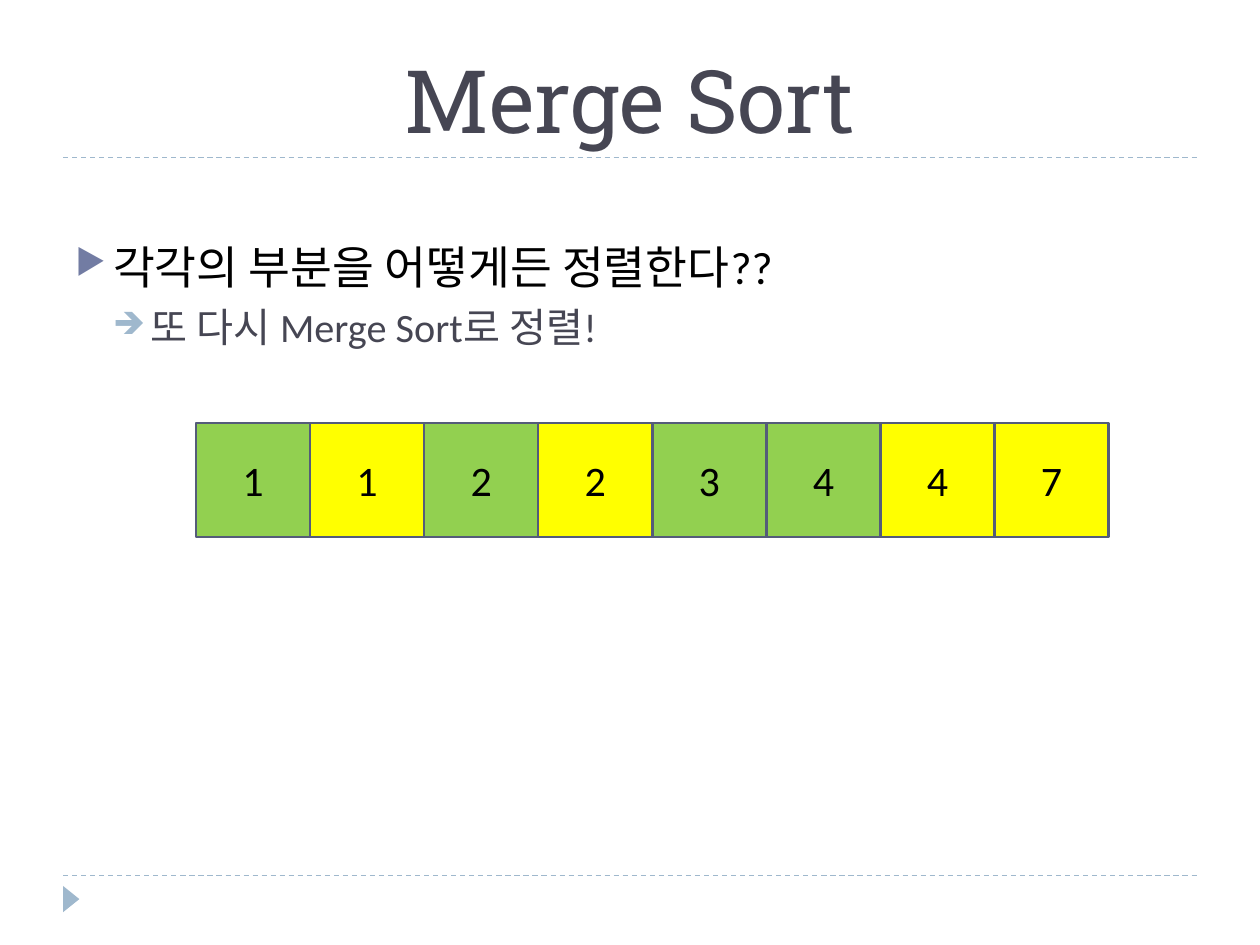
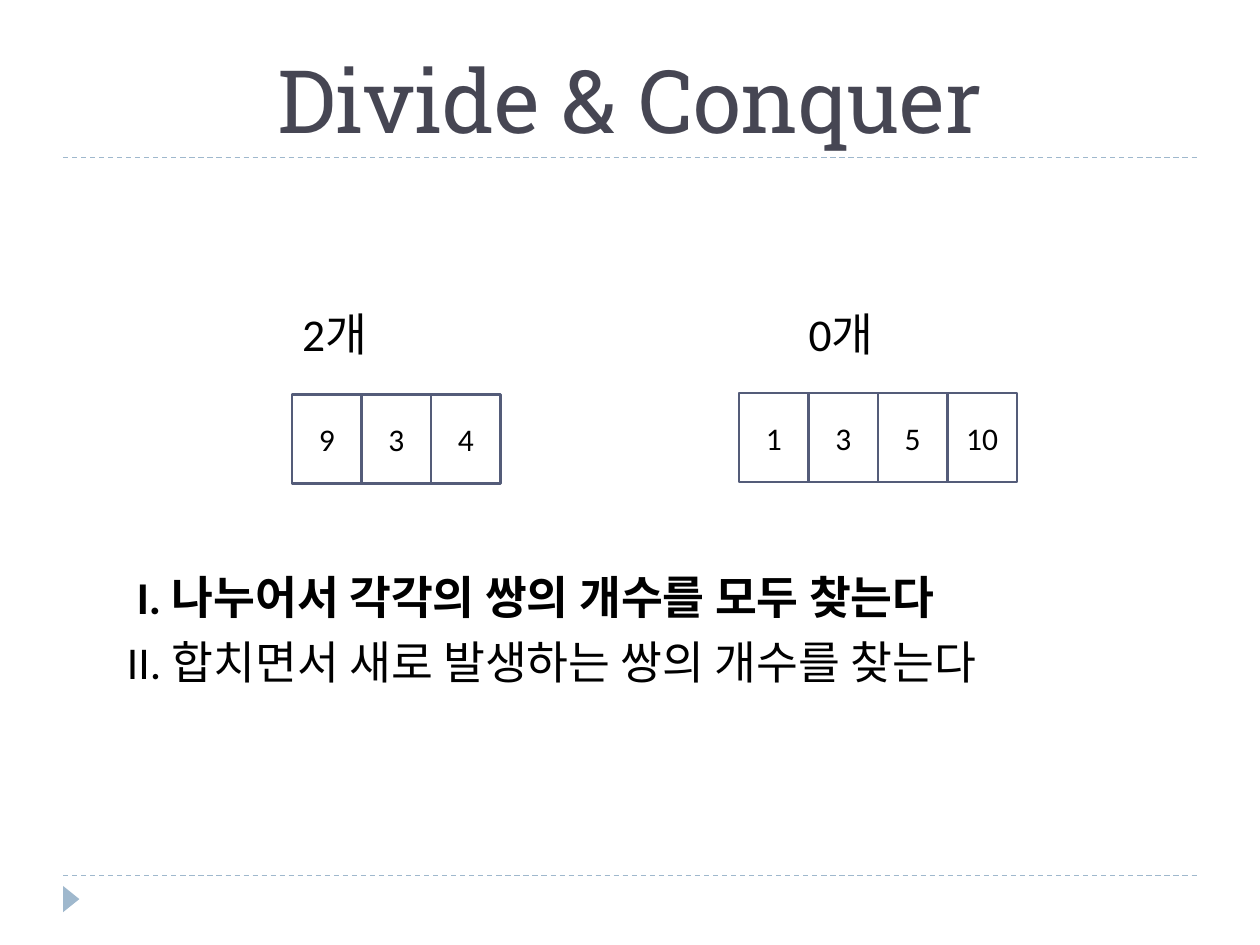
from dataclasses import dataclass
from typing import Optional

from lxml.etree import SubElement
from pptx import Presentation
from pptx.dml.color import RGBColor
from pptx.enum.dml import MSO_LINE
from pptx.enum.shapes import MSO_CONNECTOR, MSO_SHAPE
from pptx.enum.text import MSO_ANCHOR, PP_ALIGN
from pptx.oxml.ns import qn
from pptx.slide import Slide
from pptx.text.text import _Paragraph
from pptx.util import Cm, Pt


@dataclass(frozen=True)
class Theme:
    """Colours, fonts and type sizes of the deck."""
    black: str = "000000"
    slate: str = "464653"
    accent: str = "9FB8CD"
    violet: str = "727CA3"
    outline: str = "545C79"
    green: str = "92D050"
    yellow: str = "FFFF00"
    title_font: str = "Roboto Slab"
    body_font: str = "Calibri"
    title_size: int = 50
    body_size: int = 26
    detail_size: int = 23
    large_cell_size: int = 24
    small_cell_size: int = 18


THEME = Theme()


@dataclass(frozen=True)
class Bullet:
    """A bullet character and its colour."""
    character: str
    color: str


@dataclass(frozen=True)
class TextLine:
    """One paragraph; indents in centimetres, size and space in points."""
    text: str
    size: int = THEME.body_size
    color: str = THEME.black
    bold: bool = False
    margin: float = 0
    hanging: float = 0
    space_before: int = 0
    bullet: Optional[Bullet] = None


@dataclass(frozen=True)
class Cell:
    """One value of an array; no fill leaves the cell transparent."""
    value: int
    fill: Optional[str] = None


@dataclass(frozen=True)
class ArrayRow:
    """A row of touching cells; lengths in centimetres."""
    left: float
    top: float
    cell_width: float
    cell_height: float
    size: int
    cells: tuple[Cell, ...]


def rgb(color: str) -> RGBColor:
    """Turn a hex string into a colour."""
    return RGBColor.from_string(color)


def set_font(paragraph: _Paragraph, name: str, size: int, color: str, bold: bool = False) -> None:
    """Set the font of a whole paragraph."""
    font = paragraph.font
    font.name, font.size, font.bold = name, Pt(size), bold
    font.color.rgb = rgb(color)


def set_indent(paragraph: _Paragraph, line: TextLine) -> None:
    """Apply the indents and the bullet of a line."""
    properties = paragraph._p.get_or_add_pPr()
    properties.set("marL", str(Cm(line.margin)))
    properties.set("indent", str(-Cm(line.hanging)))
    if line.bullet:
        color = SubElement(properties, qn("a:buClr"))
        SubElement(color, qn("a:srgbClr"), val=line.bullet.color)
        SubElement(properties, qn("a:buSzPct"), val="76000")
        SubElement(properties, qn("a:buChar"), char=line.bullet.character)


def add_lines(page: Slide, left: float, top: float, width: float, height: float,
              lines: list[TextLine]) -> None:
    """Add a text box with one paragraph per line."""
    frame = page.shapes.add_textbox(Cm(left), Cm(top), Cm(width), Cm(height)).text_frame
    frame.word_wrap = True
    for index, line in enumerate(lines):
        paragraph = frame.add_paragraph() if index else frame.paragraphs[0]
        paragraph.text = line.text
        set_indent(paragraph, line)
        paragraph.space_before = Pt(line.space_before)
        set_font(paragraph, THEME.body_font, line.size, line.color, line.bold)


def add_rule(page: Slide, top: float) -> None:
    """Add a dashed rule across the page."""
    rule = page.shapes.add_connector(MSO_CONNECTOR.STRAIGHT, Cm(1.27), Cm(top), Cm(24.13), Cm(top))
    rule.line.color.rgb = rgb(THEME.accent)
    rule.line.width = Pt(0.75)
    rule.line.dash_style = MSO_LINE.DASH
    SubElement(rule._element.spPr, qn("a:effectLst"))


def add_page(deck: Presentation, title: str) -> Slide:
    """Add a page with its title, two rules and the corner marker."""
    page = deck.slides.add_slide(deck.slide_layouts[6])
    for top in (17.65, 3.18):
        add_rule(page, top)
    marker = page.shapes.add_shape(MSO_SHAPE.ISOSCELES_TRIANGLE, Cm(1.17), Cm(17.96), Cm(0.53), Cm(0.33))
    marker.rotation = 90
    marker.shadow.inherit = False
    marker.fill.solid()
    marker.fill.fore_color.rgb = rgb(THEME.accent)
    marker.line.fill.background()

    frame = page.shapes.add_textbox(Cm(1.27), Cm(0.43), Cm(22.86), Cm(2.74)).text_frame
    frame.word_wrap = True
    frame.vertical_anchor = MSO_ANCHOR.BOTTOM
    paragraph = frame.paragraphs[0]
    paragraph.text = title
    paragraph.alignment = PP_ALIGN.CENTER
    set_font(paragraph, THEME.title_font, THEME.title_size, THEME.slate)
    return page


def add_array(page: Slide, row: ArrayRow) -> None:
    """Draw an array as a row of outlined cells."""
    for index, cell in enumerate(row.cells):
        box = page.shapes.add_shape(
            MSO_SHAPE.RECTANGLE, Cm(row.left + index * row.cell_width), Cm(row.top),
            Cm(row.cell_width), Cm(row.cell_height))
        box.shadow.inherit = False
        if cell.fill:
            box.fill.solid()
            box.fill.fore_color.rgb = rgb(cell.fill)
        else:
            box.fill.background()
        box.line.color.rgb = rgb(THEME.outline)
        box.line.width = Pt(1.5)
        box.text_frame.vertical_anchor = MSO_ANCHOR.MIDDLE
        paragraph = box.text_frame.paragraphs[0]
        paragraph.text = str(cell.value)
        paragraph.alignment = PP_ALIGN.CENTER
        set_font(paragraph, THEME.body_font, row.size, THEME.black)


def add_merge_sort_page(deck: Presentation) -> None:
    """Show the merged array, coloured by the half each value came from."""
    page = add_page(deck, "Merge Sort")
    add_lines(page, 1.27, 4.7, 22.86, 2.5, [
        TextLine("각각의 부분을 어떻게든 정렬한다??", margin=0.76, hanging=0.76,
                 bullet=Bullet("▶", THEME.violet)),
        TextLine("또 다시 Merge Sort로 정렬!", THEME.detail_size, THEME.slate, margin=1.52,
                 hanging=0.76, space_before=5, bullet=Bullet("➔", THEME.accent)),
    ])
    green, yellow = THEME.green, THEME.yellow
    values = (1, 1, 2, 2, 3, 4, 4, 7)
    fills = (green, yellow, green, yellow, green, green, yellow, yellow)
    add_array(page, ArrayRow(3.95, 8.53, 2.3, 2.3, THEME.large_cell_size,
                             tuple(map(Cell, values, fills))))


def add_divide_page(deck: Presentation) -> None:
    """Show the two halves, their pair counts and the two steps."""
    page = add_page(deck, "Divide & Conquer")
    halves = [
        ("2개", 5.84, 5.89, 7.95, (9, 3, 4)),
        ("0개", 16.05, 14.9, 7.92, (1, 3, 5, 10)),
    ]
    for count, count_left, array_left, array_top, values in halves:
        add_lines(page, count_left, 6.04, 3, 1.4, [TextLine(count)])
        add_array(page, ArrayRow(array_left, array_top, 1.4, 1.8, THEME.small_cell_size,
                                 tuple(map(Cell, values))))
    add_lines(page, 1.27, 11.35, 22.86, 2.8, [
        TextLine("I. 나누어서 각각의 쌍의 개수를 모두 찾는다", bold=True, margin=1.24),
        TextLine("II. 합치면서 새로 발생하는 쌍의 개수를 찾는다", margin=1.04, space_before=6),
    ])


def main() -> None:
    """Build and save the deck."""
    deck = Presentation()
    deck.slide_width, deck.slide_height = Cm(25.4), Cm(19.05)
    add_merge_sort_page(deck)
    add_divide_page(deck)
    deck.save("out.pptx")


main()
